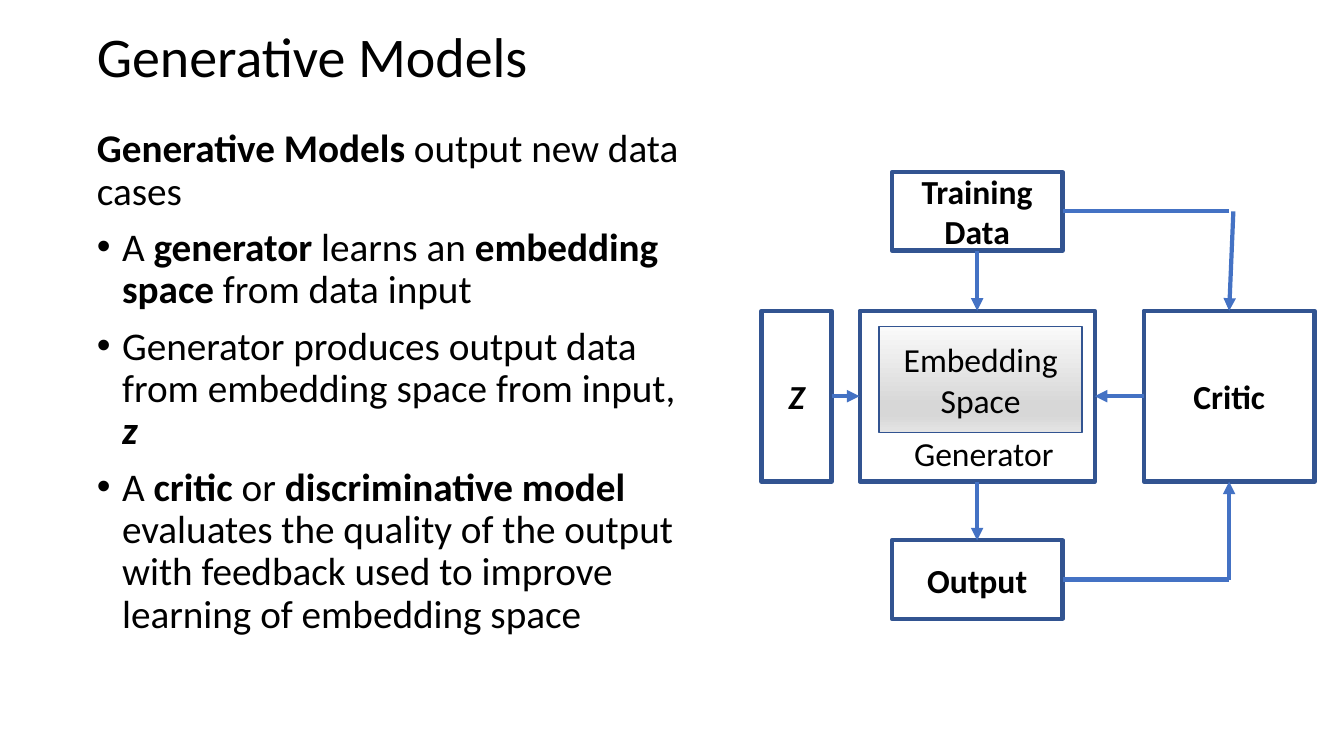
from lxml.etree import SubElement
from pptx import Presentation
from pptx.dml.color import RGBColor
from pptx.enum.dml import MSO_LINE
from pptx.enum.shapes import MSO_CONNECTOR, MSO_SHAPE
from pptx.enum.text import MSO_ANCHOR as Anchor, MSO_AUTO_SIZE as AutoSize, PP_ALIGN as Align
from pptx.oxml.ns import qn
from pptx.util import Pt

BLACK, OUTLINE, ARROW = "000000", "325491", "4472C4"
TOP, LEFT, BOTTOM, RIGHT = range(4)
EMBEDDING_STOPS = [(0, "FAFAFA"), (74, "D7D7D7"), (83, "D7D7D7"), (100, "E4E4E4")]

# Each paragraph is a list of (text, style): b for bold, i for italic.
BODY = [
    [("Generative Models", "b"), (" output new data cases", "")],
    [("A ", ""), ("generator", "b"), (" learns an ", ""),
     ("embedding space", "b"), (" from data input", "")],
    [("Generator produces output data from embedding space from input, ", ""), ("z", "bi")],
    [("A ", ""), ("critic", "b"), (" or ", ""), ("discriminative model ", "b"),
     ("evaluates the quality of the output with feedback used to improve "
      "learning of embedding space", "")],
]


def color(value):
    return RGBColor.from_string(value)


def format_span(span, size, style=""):
    font = span.font
    font.name, font.size = "Calibri", Pt(size)
    font.bold, font.italic = "b" in style, "i" in style
    font.color.rgb = color(BLACK)


def place(shape, left, top, width, height):
    shape.left, shape.top = Pt(left), Pt(top)
    shape.width, shape.height = Pt(width), Pt(height)


def set_bullet(para, indent):
    """Give the paragraph a hanging bullet, or none when indent is 0."""
    props = para._p.get_or_add_pPr()
    props.set("marL", str(Pt(indent)))
    props.set("indent", str(-Pt(indent)))
    if indent:
        SubElement(props, qn("a:buFont")).set("typeface", "Arial")
        SubElement(props, qn("a:buChar")).set("char", "•")
    else:
        SubElement(props, qn("a:buNone"))


def fill_title(title, text):
    place(title, 62, 8.5, 828, 68.5)
    frame = title.text_frame
    frame.text = text
    frame.auto_size, frame.vertical_anchor = AutoSize.NONE, Anchor.MIDDLE
    para = frame.paragraphs[0]
    para.alignment, para.line_spacing = Align.LEFT, 0.9
    format_span(para.runs[0], 40)


def fill_body(body, paragraphs):
    place(body, 62, 88.5, 433.5, 440.5)
    frame = body.text_frame
    frame.auto_size = AutoSize.NONE
    for number, spans in enumerate(paragraphs):
        para = frame.add_paragraph() if number else frame.paragraphs[0]
        para.line_spacing, para.space_before = 0.9, Pt(10)
        set_bullet(para, 18 if number else 0)
        for text, style in spans:
            span = para.add_run()
            span.text = text
            format_span(span, 28, style)


def center_text(shape, text, style=""):
    frame = shape.text_frame
    frame.text = text
    frame.word_wrap = True
    para = frame.paragraphs[0]
    para.alignment = Align.CENTER
    format_span(para.runs[0], 24, style)


def add_box(page, area, text="", style="", weight=3):
    box = page.shapes.add_shape(MSO_SHAPE.RECTANGLE, *map(Pt, area))
    box.shadow.inherit = False
    box.fill.background()
    box.line.color.rgb, box.line.width = color(OUTLINE), Pt(weight)
    if text:
        box.text_frame.vertical_anchor = Anchor.MIDDLE
        center_text(box, text, style)
    return box


def fill_gradient(box, stops):
    """Fill from top to bottom with (percent, colour) stops."""
    box.fill.gradient()
    box.fill.gradient_angle = 270
    stop_list = box._element.spPr.find(".//" + qn("a:gsLst"))
    for old in list(stop_list):
        stop_list.remove(old)
    for percent, value in stops:
        stop = SubElement(stop_list, qn("a:gs"), pos=str(percent * 1000))
        SubElement(stop, qn("a:srgbClr"), val=value)


def add_label(page, area, text):
    label = page.shapes.add_textbox(*map(Pt, area))
    center_text(label, text)
    label.text_frame.auto_size = AutoSize.SHAPE_TO_FIT_TEXT


def add_link(page, start, end, arrow=True):
    """Join two ends, each an (x, y) point or a (box, side) pair."""
    link = page.shapes.add_connector(MSO_CONNECTOR.STRAIGHT, 0, 0, 0, 0)
    if isinstance(start[0], int):
        link.begin_x, link.begin_y = map(Pt, start)
    else:
        link.begin_connect(*start)
    if isinstance(end[0], int):
        link.end_x, link.end_y = map(Pt, end)
    else:
        link.end_connect(*end)
    link.line.color.rgb, link.line.width = color(ARROW), Pt(3)
    link.line.dash_style = MSO_LINE.SOLID
    if arrow:
        SubElement(link.line._get_or_add_ln(), qn("a:tailEnd"), type="triangle")
    SubElement(link._element.spPr, qn("a:effectLst"))


def add_diagram(page):
    generator = add_box(page, (614, 222, 168, 122))
    training = add_box(page, (637, 123, 122, 56), "Training Data", "b")
    embedding = add_box(page, (628, 233, 145, 76), "Embedding Space", weight=1)
    fill_gradient(embedding, EMBEDDING_STOPS)
    add_label(page, (643, 306, 119.5, 36), "Generator")
    output = add_box(page, (637, 386, 122, 56), "Output", "b")
    noise = add_box(page, (544, 222, 50, 122), "Z", "bi")
    critic = add_box(page, (817, 222, 122, 122), "Critic", "b")

    add_link(page, (training, BOTTOM), (generator, TOP))
    add_link(page, (generator, BOTTOM), (output, TOP))
    add_link(page, (noise, RIGHT), (generator, LEFT))
    add_link(page, (critic, LEFT), (generator, RIGHT))
    add_link(page, (878, 414), (critic, BOTTOM))
    add_link(page, (output, RIGHT), (878, 414), arrow=False)
    add_link(page, (878, 151), (training, RIGHT), arrow=False)
    add_link(page, (881, 151), (critic, TOP))


def main():
    deck = Presentation()
    deck.slide_width, deck.slide_height = Pt(960), Pt(540)
    page = deck.slides.add_slide(deck.slide_layouts[1])
    fill_title(page.shapes.title, "Generative Models")
    fill_body(page.placeholders[1], BODY)
    add_diagram(page)
    deck.save("out.pptx")


if __name__ == "__main__":
    main()
